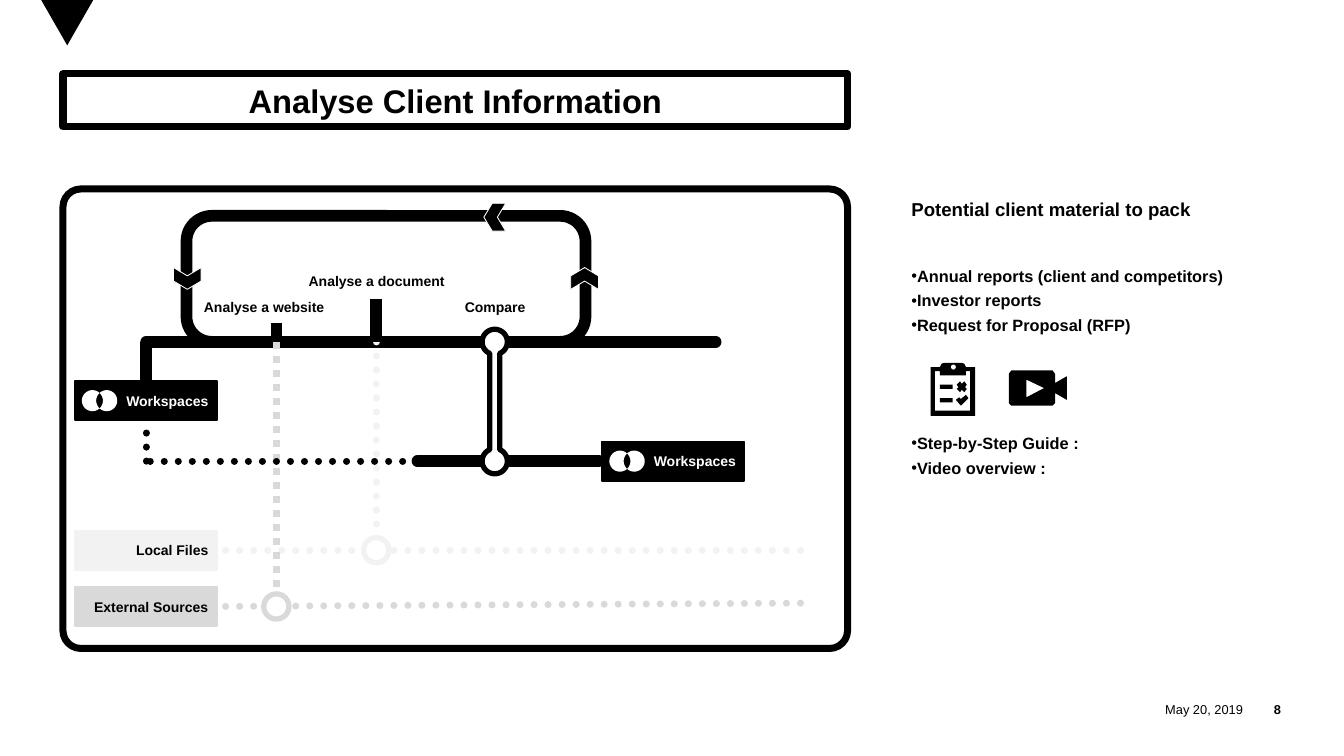
import math

from lxml import etree
from pptx import Presentation
from pptx.dml.color import RGBColor
from pptx.enum.dml import MSO_LINE
from pptx.enum.shapes import MSO_CONNECTOR, MSO_SHAPE
from pptx.enum.text import MSO_ANCHOR, MSO_AUTO_SIZE, PP_ALIGN
from pptx.oxml.ns import qn
from pptx.util import Inches, Pt

# The slide is a grid of 16 columns and 9 rows
WIDTH, HEIGHT = Inches(16), Inches(9)
COLUMN, ROW = WIDTH / 16, HEIGHT / 9
COLORS = {"ink": "000000", "paper": "FFFFFF", "external": "D9D9D9", "local": "F2F2F2"}
FONT = "Arial"
LEFT, CENTER, RIGHT = PP_ALIGN.LEFT, PP_ALIGN.CENTER, PP_ALIGN.RIGHT
TOP, MIDDLE = MSO_ANCHOR.TOP, MSO_ANCHOR.MIDDLE
RECTANGLE, ROUNDED = MSO_SHAPE.RECTANGLE, MSO_SHAPE.ROUNDED_RECTANGLE
ELLIPSE, CHEVRON = MSO_SHAPE.OVAL, MSO_SHAPE.CHEVRON
STRAIGHT, DOTTED = MSO_CONNECTOR.STRAIGHT, MSO_LINE.ROUND_DOT

# Shared tracks of the route map
START_X, WEBSITE_X, DOCUMENT_X, COMPARE_X = 1.74, 3.29, 4.48, 5.89
MAIN_Y, SECOND_Y, LOCAL_Y, EXTERNAL_Y = 4.07, 5.49, 6.55, 7.22
TAG_X, TAG_WIDTH, TAG_HEIGHT = 0.89, 1.69, 0.47


def color(name):
    return RGBColor.from_string(COLORS[name])


def grid(x, y):
    return round(x * COLUMN), round(y * ROW)


def box(left, top, width, height):
    return (*grid(left, top), *grid(width, height))


def paint(shape, fill=None, line=None, weight=1.0):
    if fill:
        shape.fill.solid()
        shape.fill.fore_color.rgb = color(fill)
    else:
        shape.fill.background()
    if line:
        shape.line.color.rgb = color(line)
        shape.line.width = Pt(weight)
    else:
        shape.line.fill.background()


def add_run(paragraph, text, size, ink="ink", bold=True):
    run = paragraph.add_run()
    run.text = text
    run.font.name, run.font.size, run.font.bold = FONT, Pt(size), bold
    run.font.color.rgb = color(ink)


def prepare_frame(shape, anchor):
    frame = shape.text_frame
    frame.word_wrap = True
    frame.auto_size = MSO_AUTO_SIZE.NONE
    frame.vertical_anchor = anchor
    return frame


def write(shape, text, size, align, ink="ink", bold=True):
    paragraph = prepare_frame(shape, MIDDLE).paragraphs[0]
    paragraph.alignment = align
    add_run(paragraph, text, size, ink, bold)


def add_shape(slide, kind, place, fill, line, weight, adjust=None, turn=0):
    shape = slide.shapes.add_shape(kind, *box(*place))
    shape.shadow.inherit = False
    paint(shape, fill, line, weight)
    if adjust is not None:
        shape.adjustments[0] = adjust
    shape.rotation = turn
    return shape


def add_label(slide, place, text, size=12, align=CENTER, bold=True, margin=0.1):
    label = slide.shapes.add_textbox(*box(*place))
    write(label, text, size, align, bold=bold)
    label.text_frame.margin_left = label.text_frame.margin_right = Inches(margin)


def add_track(slide, start, end, ink="ink", weight=10, dotted=False, rounded=True):
    track = slide.shapes.add_connector(STRAIGHT, *grid(*start), *grid(*end))
    track.line.color.rgb = color(ink)
    track.line.width = Pt(weight)
    if dotted:
        track.line.dash_style = DOTTED
    properties = track.element.spPr
    properties.find(qn("a:ln")).set("cap", "rnd" if rounded else "flat")
    etree.SubElement(properties, qn("a:effectLst"))


def add_outline(slide, contours, fill, line=None, weight=1.0):
    first, *others = [[grid(x, y) for x, y in contour] for contour in contours]
    builder = slide.shapes.build_freeform(*first[0])
    builder.add_line_segments(first[1:], close=True)
    for contour in others:
        builder.move_to(*contour[0])
        builder.add_line_segments(contour[1:], close=True)
    outline = builder.convert_to_shape()
    outline.shadow.inherit = False
    paint(outline, fill, line, weight)


def arc(x, y, radius, start=0, end=360, steps=48):
    angles = [math.radians(start + (end - start) * i / steps) for i in range(steps + 1)]
    return [(x + radius * math.cos(a), y + radius * math.sin(a)) for a in angles]


def corners(left, top, right, bottom):
    return [(left, top), (right, top), (right, bottom), (left, bottom)]


def add_tag(slide, text, left, middle, fill, ink="ink"):
    tag = add_shape(slide, RECTANGLE, (left, middle - TAG_HEIGHT / 2, TAG_WIDTH, TAG_HEIGHT),
                    fill, fill, 1.5)
    write(tag, text, 12, RIGHT, ink)


def add_workspace(slide, left, middle):
    add_tag(slide, "Workspaces", left, middle, "ink", "paper")
    circles = [arc(left + offset, middle, 0.125) for offset in (0.21, 0.38)]
    add_outline(slide, circles, "paper")


def add_source(slide, text, middle, ink, station_x, track_end):
    add_track(slide, (9.53, track_end), (2.59, middle), ink, 6, dotted=True)
    add_tag(slide, text, TAG_X, middle, ink)
    add_shape(slide, ELLIPSE, (station_x - 0.15, middle - 0.15, 0.3, 0.3), "paper", ink, 4.5)


def fill_title(title):
    title.left, title.top, title.width, title.height = box(0.75, 0.88, 9.34, 0.63)
    geometry = etree.SubElement(title.element.spPr, qn("a:prstGeom"), prst="roundRect")
    etree.SubElement(geometry, qn("a:avLst"))
    title.adjustments[0] = 0.269
    paint(title, "paper", "ink", 6)
    write(title, "Analyse Client Information", 28, CENTER)


def fill_body(body):
    body.left, body.top, body.width, body.height = box(10.75, 2.25, 4.5, 5.6)
    frame = prepare_frame(body, TOP)
    # Text, size, space before, bulleted
    lines = [("Potential client material to pack", 16, 12, False),
             ("Annual reports (client and competitors)", 14, 36, True),
             ("Investor reports", 14, 1, True),
             ("Request for Proposal (RFP)", 14, 1, True),
             ("Step-by-Step Guide :", 14, 81, True),
             ("Video overview :", 14, 1, True)]
    for index, (text, size, before, bulleted) in enumerate(lines):
        paragraph = frame.add_paragraph() if index else frame.paragraphs[0]
        paragraph.alignment, paragraph.line_spacing = LEFT, 1.2
        paragraph.space_before, paragraph.space_after = Pt(before), Pt(0)
        properties = paragraph._p.get_or_add_pPr()
        properties.set("marL", "0")
        properties.set("indent", str(Inches(-0.31) if bulleted else 0))
        if bulleted:
            etree.SubElement(properties, qn("a:buChar"), char="•")
        else:
            etree.SubElement(properties, qn("a:buNone"))
        add_run(paragraph, text, size)


def add_icons(slide):
    # Checklist: board, paper, clip hole, two dashes, cross and tick
    board = [(11.08, 4.37), (11.19, 4.37), (11.21, 4.33), (11.24, 4.32), (11.45, 4.32),
             (11.48, 4.33), (11.5, 4.37), (11.61, 4.37), (11.61, 4.95), (11.08, 4.95)]
    sheet = [(11.13, 4.42), (11.19, 4.42), (11.19, 4.47), (11.5, 4.47), (11.5, 4.42),
             (11.55, 4.42), (11.55, 4.89), (11.13, 4.89)]
    dashes = [corners(11.19, top, 11.34, top + 0.05) for top in (4.58, 4.74)]
    cross = [(11.48, 4.54), (11.45, 4.57), (11.43, 4.54), (11.39, 4.58), (11.41, 4.61),
             (11.39, 4.63), (11.43, 4.67), (11.45, 4.64), (11.48, 4.67), (11.51, 4.63),
             (11.49, 4.61), (11.51, 4.58)]
    tick = [(11.44, 4.75), (11.42, 4.73), (11.38, 4.76), (11.44, 4.83), (11.53, 4.74), (11.5, 4.7)]
    add_outline(slide, [board, sheet, arc(11.35, 4.37, 0.03), *dashes, cross, tick], "ink")
    # Video camera with a play mark
    camera = [(12.04, 4.41), (12.53, 4.41), (12.56, 4.45), (12.56, 4.56), (12.7, 4.48),
              (12.7, 4.76), (12.56, 4.68), (12.56, 4.8), (12.53, 4.83), (12.04, 4.83),
              (12.01, 4.8), (12.01, 4.45)]
    add_outline(slide, [camera, [(12.43, 4.62), (12.22, 4.52), (12.22, 4.73)]], "ink")


def add_route_map(slide):
    # Panel, loop and main line
    add_shape(slide, ROUNDED, (0.75, 2.25, 9.34, 5.47), "paper", "ink", 6, 0.039)
    add_shape(slide, ROUNDED, (2.22, 2.57, 4.75, 1.5), None, "ink", 10, 0.201)
    add_track(slide, (START_X, MAIN_Y), (8.52, MAIN_Y))
    # Sources
    add_source(slide, "External Sources", EXTERNAL_Y, "external", WEBSITE_X, 7.18)
    add_source(slide, "Local Files", LOCAL_Y, "local", DOCUMENT_X, LOCAL_Y)
    # Stops on the main line
    for text, x, label_y, stop_y, end_y, ink, rounded in [
            ("Analyse a website", WEBSITE_X, 3.5, 3.84, 7.07, "external", False),
            ("Analyse a document", DOCUMENT_X, 3.2, 3.56, 6.39, "local", True)]:
        add_label(slide, (x - 1.22 + 0.15 * rounded, label_y, 2.15, 0.3), text)
        add_track(slide, (x, MAIN_Y), (x, end_y), ink, 6, dotted=True, rounded=rounded)
        add_track(slide, (x, stop_y), (x, MAIN_Y), rounded=False)
    # Second line and the interchange
    add_track(slide, (4.97, SECOND_Y), (7.13, SECOND_Y))
    add_track(slide, (6.63, SECOND_Y), (START_X, SECOND_Y), weight=6, dotted=True)
    interchange = (arc(COMPARE_X, MAIN_Y, 0.15, 113, 427)
                   + arc(COMPARE_X, SECOND_Y, 0.15, -67, 247))
    add_outline(slide, [interchange], "paper", "ink", 4.5)
    add_label(slide, (4.82, 3.51, 2.15, 0.3), "Compare")
    # Workspaces
    add_workspace(slide, TAG_X, 4.77)
    add_track(slide, (START_X, 4.54), (START_X, MAIN_Y), rounded=False)
    add_track(slide, (START_X, SECOND_Y), (START_X, 5.01), weight=6, dotted=True)
    # Direction of the loop
    for left, top, turn in [(5.76, 2.42, 180), (2.1, 3.15, 90), (6.83, 3.15, 270)]:
        add_shape(slide, CHEVRON, (left, top, 0.26, 0.33), "ink", "paper", 0.75, 0.381, turn)
    add_workspace(slide, 7.17, SECOND_Y)


def main():
    presentation = Presentation()
    presentation.slide_width, presentation.slide_height = WIDTH, HEIGHT
    slide = presentation.slides.add_slide(presentation.slide_layouts[1])
    fill_title(slide.shapes.title)
    fill_body(slide.placeholders[1])
    # Corner mark and footer
    add_outline(slide, [[(0.49, 0), (0.8, 0.54), (1.11, 0)]], "ink")
    add_label(slide, (13.01, 8.29, 1.79, 0.3), "May 20, 2019", 11, RIGHT, False, 0)
    add_label(slide, (14.8, 8.29, 0.45, 0.3), "8", 11, RIGHT, True, 0)
    add_route_map(slide)
    add_icons(slide)
    presentation.save("out.pptx")


if __name__ == "__main__":
    main()
